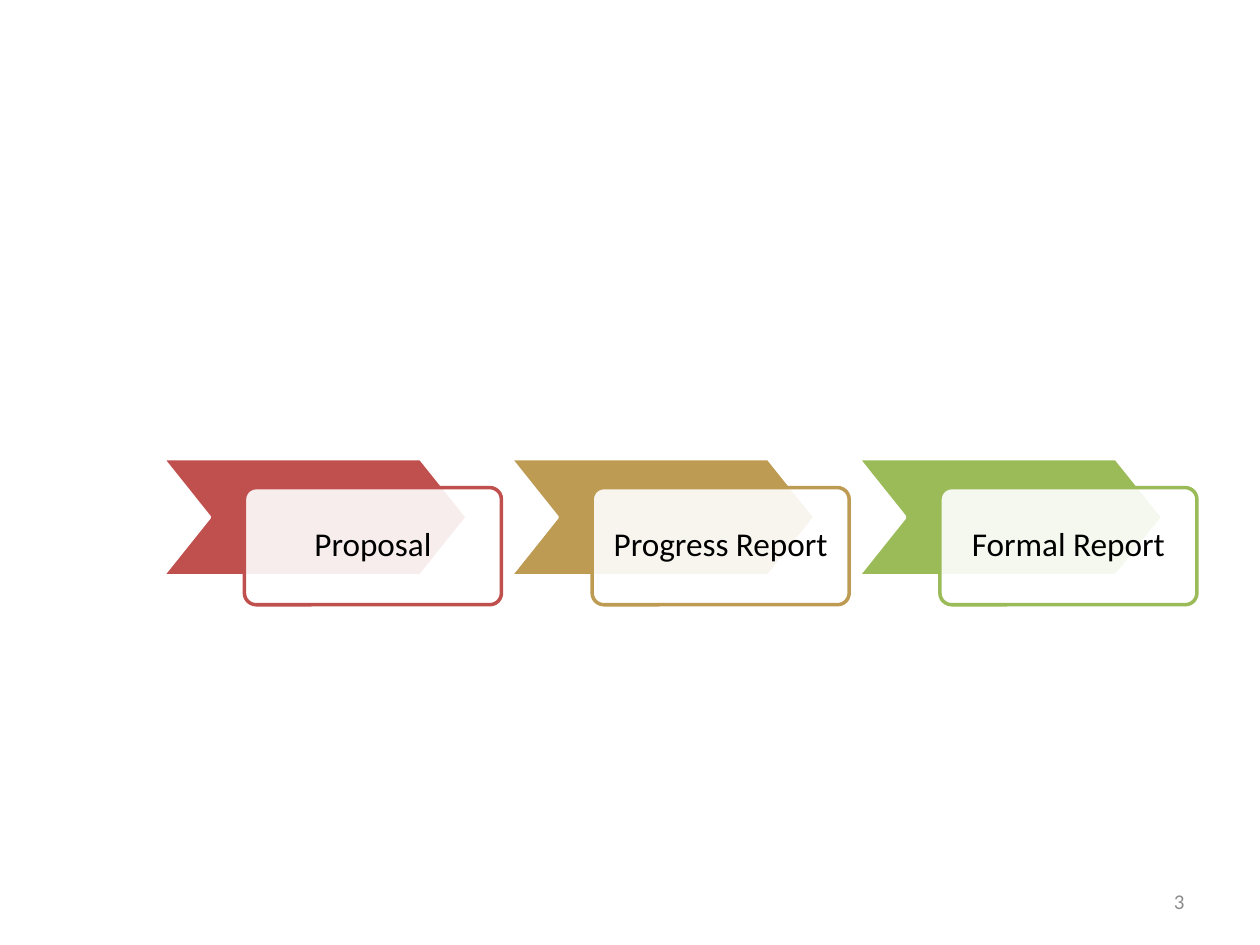
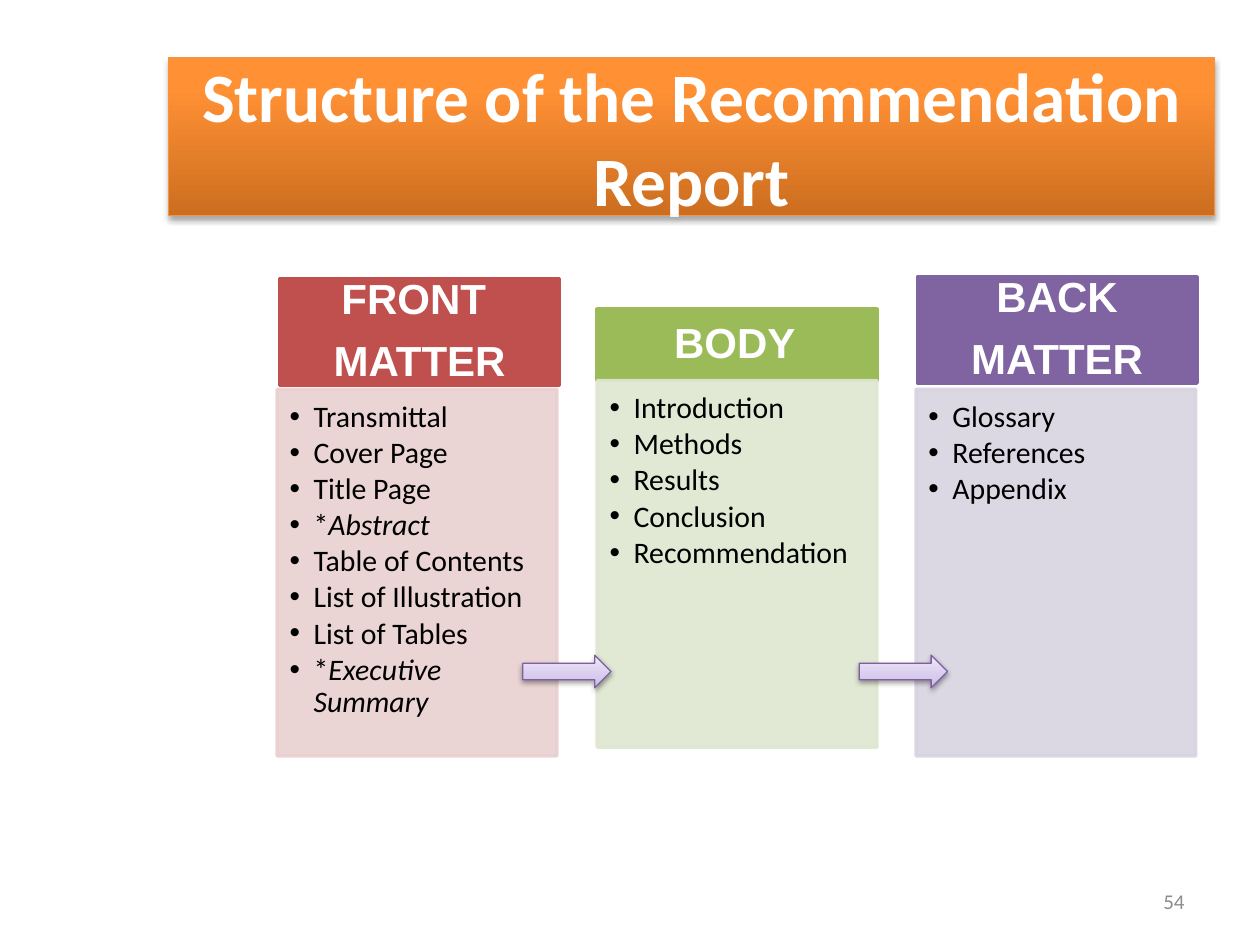
from dataclasses import dataclass

from lxml.etree import SubElement
from pptx import Presentation
from pptx.dml.color import RGBColor
from pptx.enum.shapes import MSO_SHAPE as Shape
from pptx.enum.text import MSO_ANCHOR as Anchor, PP_ALIGN as Align
from pptx.oxml.ns import qn
from pptx.shapes.autoshape import Shape as AutoShape
from pptx.slide import Slide
from pptx.text.text import TextFrame, _Paragraph as Paragraph
from pptx.util import Inches, Pt

WHITE, BLACK, GREY = "FFFFFF", "000000", "8C8C8C"
RED, GOLD, GREEN, PURPLE = "C0504D", "BD9B53", "9BBB59", "8064A2"
BODY_FONT, HEADING_FONT = "Calibri", "Arial"

Box = tuple[float, float, float, float]
Stops = list[tuple[int, str]]


@dataclass
class Stage:
    label: str
    color: str


@dataclass
class Section:
    heading: list[str]
    items: list[str]
    color: str
    tint: str
    heading_box: Box
    list_left: float
    list_top: float


STAGES = [
    Stage("Proposal", RED),
    Stage("Progress Report", GOLD),
    Stage("Formal Report", GREEN),
]
STAGE_LEFT, STAGE_STEP = 1.29, 2.76

# An item's part after "*" is set in italics.
SECTIONS = [
    Section(
        ["FRONT ", "MATTER"],
        ["Transmittal", "Cover Page", "Title Page", "*Abstract", "Table of Contents",
         "List of Illustration", "List of Tables", "*Executive Summary"],
        RED, "E8D0D0", (2.22, 2.21, 2.22, 0.85), 2.2, 3.09,
    ),
    Section(
        ["BODY\t"],
        ["Introduction", "Methods", "Results", "Conclusion", "Recommendation"],
        GREEN, "DEE7D1", (4.74, 2.45, 2.22, 0.57), 4.74, 3.02,
    ),
    Section(
        ["BACK", "MATTER"],
        ["Glossary", "References", "Appendix"],
        PURPLE, "D8D3E0", (7.28, 2.2, 2.22, 0.84), 7.27, 3.09,
    ),
]
LIST_WIDTH, LIST_HEIGHT = 2.22, 2.91
ARROW_LEFTS = [4.15, 6.82]

TITLE_STOPS = [(0, "CC6E20"), (80, "FF9034"), (100, "FF9136")]
ARROW_STOPS = [(0, "C9B5E8"), (35, "D8CBEE"), (100, "F0EAF9")]


def rgb(color: str) -> RGBColor:
    return RGBColor.from_string(color)


def add_alpha(color_element, percent: int) -> None:
    SubElement(color_element, qn("a:alpha"), val=str(percent * 1000))


def add_box(slide: Slide, kind: Shape, box: Box, line: str, line_width: float = 2) -> AutoShape:
    shape = slide.shapes.add_shape(kind, *map(Inches, box))
    shape.shadow.inherit = False
    shape.line.color.rgb = rgb(line)
    shape.line.width = Pt(line_width)
    return shape


def fill_solid(shape: AutoShape, color: str, opacity: int = 100) -> None:
    shape.fill.solid()
    shape.fill.fore_color.rgb = rgb(color)
    if opacity < 100:
        add_alpha(shape._element.spPr.find(qn("a:solidFill"))[0], opacity)


def fill_gradient(shape: AutoShape, stops: Stops) -> None:
    """Fill from bottom to top with any number of stops."""
    shape.fill.gradient()
    shape.fill.gradient_angle = 90
    stop_list = shape._element.spPr.find(qn("a:gradFill")).find(qn("a:gsLst"))
    stop_list.clear()
    for position, color in stops:
        stop = SubElement(stop_list, qn("a:gs"), pos=str(position * 1000))
        SubElement(stop, qn("a:srgbClr"), val=color)


def drop_shadow(shape: AutoShape, opacity: int, distance: float) -> None:
    effects = shape._element.spPr.find(qn("a:effectLst"))
    shadow = SubElement(effects, qn("a:outerShdw"), blurRad=str(Pt(3.1)),
                        dist=str(Pt(distance)), dir="5400000", rotWithShape="0")
    add_alpha(SubElement(shadow, qn("a:srgbClr"), val=BLACK), opacity)


def set_frame(frame: TextFrame, anchor: Anchor, insets: Box = (0.1, 0.05, 0.1, 0.05)) -> None:
    frame.word_wrap = True
    frame.vertical_anchor = anchor
    (frame.margin_left, frame.margin_top,
     frame.margin_right, frame.margin_bottom) = map(Inches, insets)


def set_font(paragraph: Paragraph, size: float, color: str,
             name: str = BODY_FONT, bold: bool = False) -> None:
    font = paragraph.font
    font.size, font.name, font.bold = Pt(size), name, bold
    font.color.rgb = rgb(color)


def next_paragraph(frame: TextFrame, index: int) -> Paragraph:
    return frame.paragraphs[0] if index == 0 else frame.add_paragraph()


def add_bullet(paragraph: Paragraph) -> None:
    properties = paragraph._p.get_or_add_pPr()
    properties.set("marL", str(Inches(0.19)))
    properties.set("indent", str(Inches(-0.19)))
    SubElement(properties, qn("a:buFont"), typeface=HEADING_FONT)
    SubElement(properties, qn("a:buChar"), char="•")


def add_page_number(slide: Slide, number: int) -> None:
    frame = slide.shapes.add_textbox(*map(Inches, (7.17, 6.95, 2.33, 0.4))).text_frame
    set_frame(frame, Anchor.MIDDLE)
    paragraph = frame.paragraphs[0]
    paragraph.text = str(number)
    paragraph.alignment = Align.RIGHT
    set_font(paragraph, 12, GREY)


def add_stage(slide: Slide, stage: Stage, left: float) -> None:
    chevron = add_box(slide, Shape.CHEVRON, (left, 3.64, 2.42, 0.93), WHITE)
    chevron.adjustments[0] = 0.4
    fill_solid(chevron, stage.color)

    card = add_box(slide, Shape.ROUNDED_RECTANGLE, (left + 0.65, 3.87, 2.04, 0.93), stage.color)
    card.adjustments[0] = 0.1
    fill_solid(card, WHITE, 90)
    set_frame(card.text_frame, Anchor.MIDDLE, (0.12, 0.12, 0.12, 0.12))
    label = card.text_frame.paragraphs[0]
    label.text = stage.label
    label.alignment = Align.CENTER
    label.line_spacing = 0.9
    set_font(label, 19, BLACK)


def add_heading(slide: Slide, section: Section) -> None:
    heading = add_box(slide, Shape.RECTANGLE, section.heading_box, section.color)
    fill_solid(heading, section.color)
    frame = heading.text_frame
    set_frame(frame, Anchor.MIDDLE, (0.19, 0.11, 0.19, 0.11))
    for index, words in enumerate(section.heading):
        paragraph = next_paragraph(frame, index)
        paragraph.text = words
        paragraph.alignment = Align.CENTER
        paragraph.line_spacing = 0.9
        paragraph.space_after = Pt(9.5)
        set_font(paragraph, 24, WHITE, HEADING_FONT, bold=True)


def add_list(slide: Slide, section: Section) -> None:
    box = (section.list_left, section.list_top, LIST_WIDTH, LIST_HEIGHT)
    panel = add_box(slide, Shape.RECTANGLE, box, section.tint)
    fill_solid(panel, section.tint, 90)
    add_alpha(panel.line._ln.find(qn("a:solidFill"))[0], 90)
    frame = panel.text_frame
    set_frame(frame, Anchor.TOP, (0.1, 0.1, 0.13, 0.15))
    for index, item in enumerate(section.items):
        paragraph = next_paragraph(frame, index)
        add_bullet(paragraph)
        paragraph.alignment = Align.LEFT
        paragraph.line_spacing = 0.9
        paragraph.space_after = Pt(2.25)
        set_font(paragraph, 17, BLACK)
        if item.startswith("*"):
            paragraph.add_run().text = "*"
        words = paragraph.add_run()
        words.text = item.removeprefix("*")
        if item.startswith("*"):
            words.font.italic = True


def add_title(slide: Slide, text: str) -> None:
    banner = add_box(slide, Shape.RECTANGLE, (1.34, 0.46, 8.3, 1.25), "F69240", 0.75)
    fill_gradient(banner, TITLE_STOPS)
    drop_shadow(banner, 35, 1.8)
    set_frame(banner.text_frame, Anchor.MIDDLE)
    title = banner.text_frame.paragraphs[0]
    title.text = text
    title.alignment = Align.CENTER
    set_font(title, 39.6, WHITE, bold=True)


def add_arrow(slide: Slide, left: float) -> None:
    arrow = add_box(slide, Shape.RIGHT_ARROW, (left, 5.2, 0.7, 0.26), "7D60A0", 0.75)
    fill_gradient(arrow, ARROW_STOPS)
    drop_shadow(arrow, 38, 1.6)


def build_stages_slide(slide: Slide) -> None:
    for index, stage in enumerate(STAGES):
        add_stage(slide, stage, STAGE_LEFT + index * STAGE_STEP)
    add_page_number(slide, 3)


def build_structure_slide(slide: Slide) -> None:
    add_title(slide, "Structure of the Recommendation Report")
    for section in SECTIONS:
        add_heading(slide, section)
        add_list(slide, section)
    add_page_number(slide, 54)
    for left in ARROW_LEFTS:
        add_arrow(slide, left)


def main() -> None:
    deck = Presentation()
    deck.slide_width, deck.slide_height = Inches(10), Inches(7.5)
    blank = deck.slide_layouts[6]
    for build in (build_stages_slide, build_structure_slide):
        build(deck.slides.add_slide(blank))
    deck.save("out.pptx")


if __name__ == "__main__":
    main()
